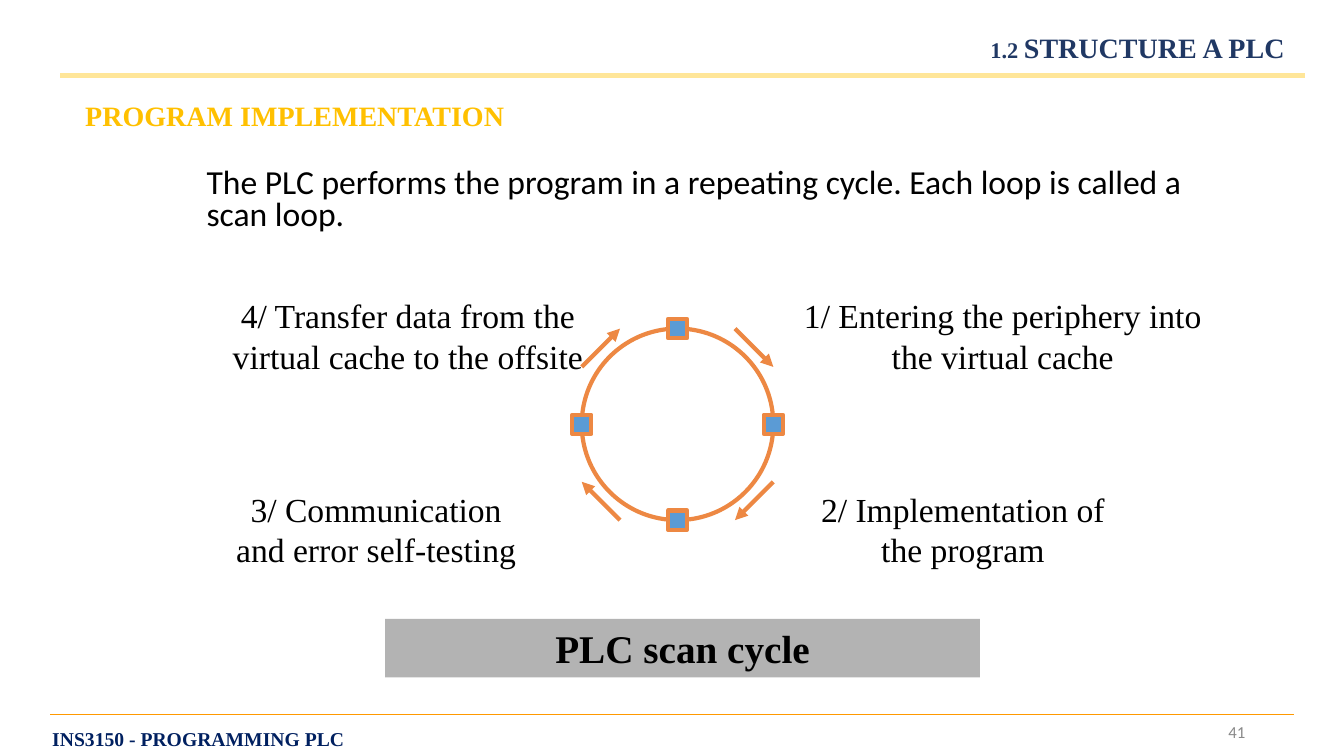
from lxml.etree import SubElement
from pptx import Presentation
from pptx.dml.color import RGBColor
from pptx.enum.shapes import MSO_CONNECTOR, MSO_SHAPE
from pptx.enum.text import MSO_ANCHOR, PP_ALIGN
from pptx.oxml.ns import qn
from pptx.util import Inches, Pt

SERIF = "Times New Roman"
ORANGE = "ED8843"
CENTER_X, CENTER_Y, RADIUS = 6.72, 4.21, 0.95
ARROW_INSET = 0.57
NODE_SIZE = 0.19

STEPS = [
    ("1/ Entering the periphery into the virtual cache", (7.87, 2.88, 4.15, 0.88)),
    ("2/ Implementation of the program", (7.93, 4.8, 3.24, 0.93)),
    ("3/ Communication and error self-testing", (2.14, 4.8, 3.18, 0.93)),
    ("4/ Transfer data from the virtual cache to the offsite", (2.14, 2.88, 3.81, 0.88)),
]


def color(value):
    """Turn a hex string into a colour."""
    return RGBColor.from_string(value)


def set_all(target, values):
    """Set attributes of an object from a dict."""
    for name, value in values.items():
        setattr(target, name, value)


def write(shape, text, size, ink="000000", font=SERIF, bold=False,
          align=PP_ALIGN.LEFT, anchor=MSO_ANCHOR.TOP):
    """Put one formatted paragraph into a shape and return the paragraph."""
    set_all(shape.text_frame, {"word_wrap": True, "vertical_anchor": anchor})
    para = shape.text_frame.paragraphs[0]
    para.alignment = align
    span = para.add_run()
    span.text = text
    set_all(span.font, {"name": font, "size": Pt(size), "bold": bold})
    span.font.color.rgb = color(ink)
    return para


def add_text(page, place, text, size, **style):
    """Add a text box and return its paragraph."""
    box = page.shapes.add_textbox(*map(Inches, place))
    return write(box, text, size, **style)


def add_figure(page, kind, place, fill=None, outline=None):
    """Add a preset shape with an optional fill and outline."""
    shape = page.shapes.add_shape(kind, *map(Inches, place))
    shape.shadow.inherit = False
    if fill:
        shape.fill.solid()
        shape.fill.fore_color.rgb = color(fill)
    else:
        shape.fill.background()
    if outline:
        shape.line.color.rgb = color(outline)
        shape.line.width = Pt(3)
    else:
        shape.line.fill.background()
    return shape


def add_line(page, start, end, ink, width=3, arrow=False):
    """Add a straight line, with an arrowhead at its end if wanted."""
    line = page.shapes.add_connector(
        MSO_CONNECTOR.STRAIGHT, *map(Inches, (*start, *end)))
    line.line.color.rgb = color(ink)
    line.line.width = Pt(width)
    if arrow:
        SubElement(line.line._get_or_add_ln(), qn("a:tailEnd"), type="triangle")
    SubElement(line._element.spPr, qn("a:effectLst"))


def quarter_turns(x, y):
    """Give the four slide points of an offset turned clockwise about the centre."""
    points = []
    for _ in range(4):
        points.append((CENTER_X + x, CENTER_Y + y))
        x, y = -y, x
    return points


def add_scan_cycle(page):
    """Draw the ring with its four nodes and clockwise arrows."""
    add_figure(page, MSO_SHAPE.OVAL,
               (CENTER_X - RADIUS, CENTER_Y - RADIUS, 2 * RADIUS, 2 * RADIUS),
               outline=ORANGE)
    for x, y in quarter_turns(0, -RADIUS):
        place = (x - NODE_SIZE / 2, y - NODE_SIZE / 2, NODE_SIZE, NODE_SIZE)
        add_figure(page, MSO_SHAPE.RECTANGLE, place, "5B9BD5", ORANGE)
    starts = quarter_turns(ARROW_INSET, -RADIUS)
    ends = quarter_turns(RADIUS, -ARROW_INSET)
    for start, end in zip(starts, ends):
        add_line(page, start, end, ORANGE, arrow=True)


def add_frame(page):
    """Add the header, section heading, footer and their rules."""
    title = add_text(page, (9.17, 0.2, 3.67, 0.53), "1.2 STRUCTURE A PLC", 20,
                     ink="203864", bold=True, align=PP_ALIGN.RIGHT,
                     anchor=MSO_ANCHOR.MIDDLE)
    title.runs[0].font._element.set("cap", "small")
    add_line(page, (0.6, 0.75), (12.94, 0.75), "FFE699")
    add_text(page, (0.37, 0.88, 4.73, 0.53), "PROGRAM IMPLEMENTATION", 20,
             ink="FFC000", bold=True, align=PP_ALIGN.RIGHT, anchor=MSO_ANCHOR.MIDDLE)
    add_line(page, (0.5, 7.09), (12.83, 7.09), "FF9900", width=0.75)
    add_text(page, (0.42, 7.16, 6.67, 0.34), "INS3150 - PROGRAMMING PLC", 14,
             ink="002060", bold=True)
    add_text(page, (9.45, 7.06, 3, 0.4), "41", 12, ink="898989", font="Calibri",
             align=PP_ALIGN.RIGHT, anchor=MSO_ANCHOR.MIDDLE)


def main():
    """Build the slide and save the deck."""
    deck = Presentation()
    set_all(deck, {"slide_width": Inches(13.33), "slide_height": Inches(7.5)})
    page = deck.slides.add_slide(deck.slide_layouts[6])
    intro = add_text(
        page, (1.7, 1.62, 10.75, 5.22),
        "The PLC performs the program in a repeating cycle. "
        "Each loop is called a scan loop.", 24, font="Calibri")
    intro.line_spacing = 0.8
    intro._p.get_or_add_pPr().set("marL", str(Inches(0.25)))
    add_scan_cycle(page)
    for text, place in STEPS:
        add_text(page, place, text, 24, align=PP_ALIGN.CENTER)
    caption = add_figure(page, MSO_SHAPE.RECTANGLE, (3.82, 6.14, 5.9, 0.58), "B3B3B3")
    write(caption, "PLC scan cycle", 28, bold=True, align=PP_ALIGN.CENTER)
    add_frame(page)
    deck.save("out.pptx")


if __name__ == "__main__":
    main()
